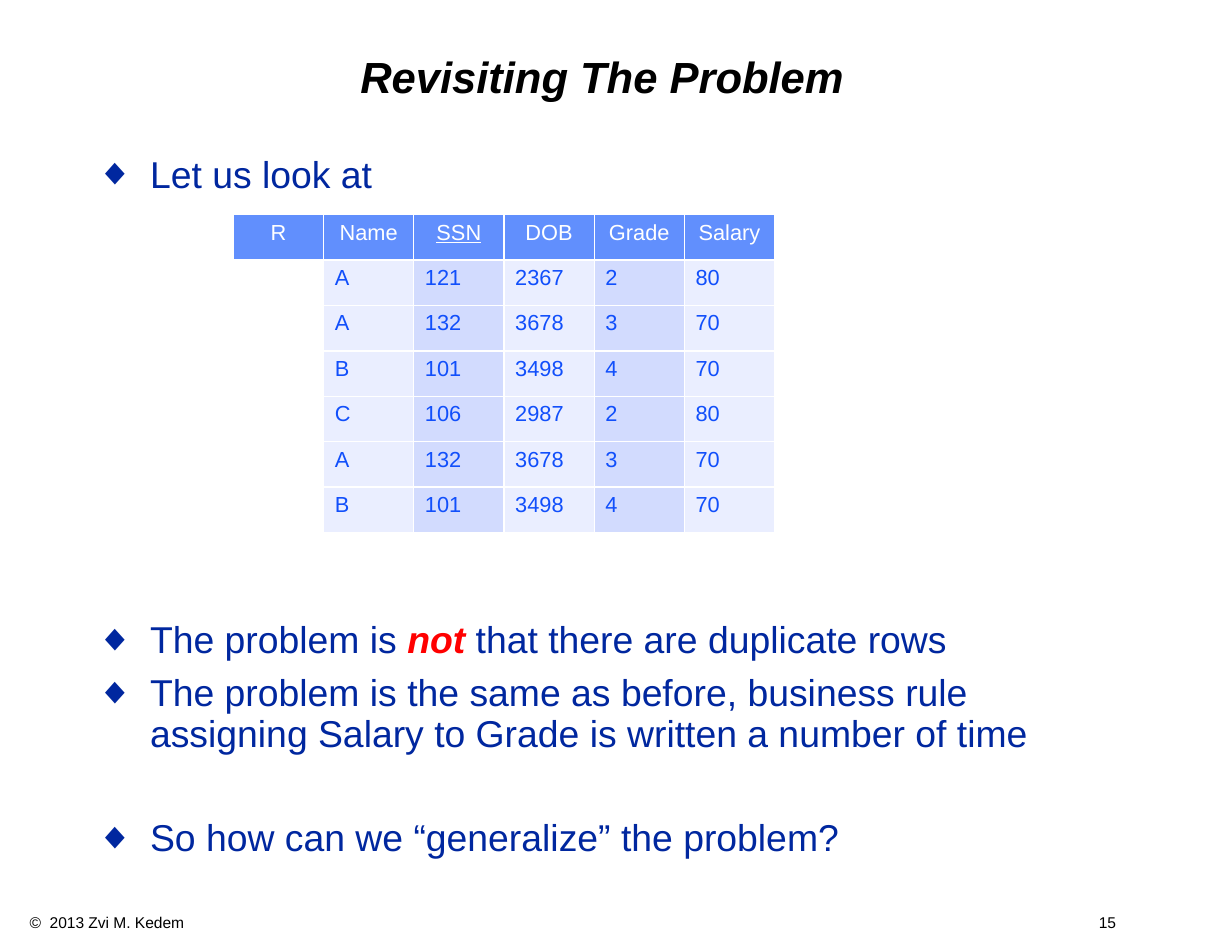
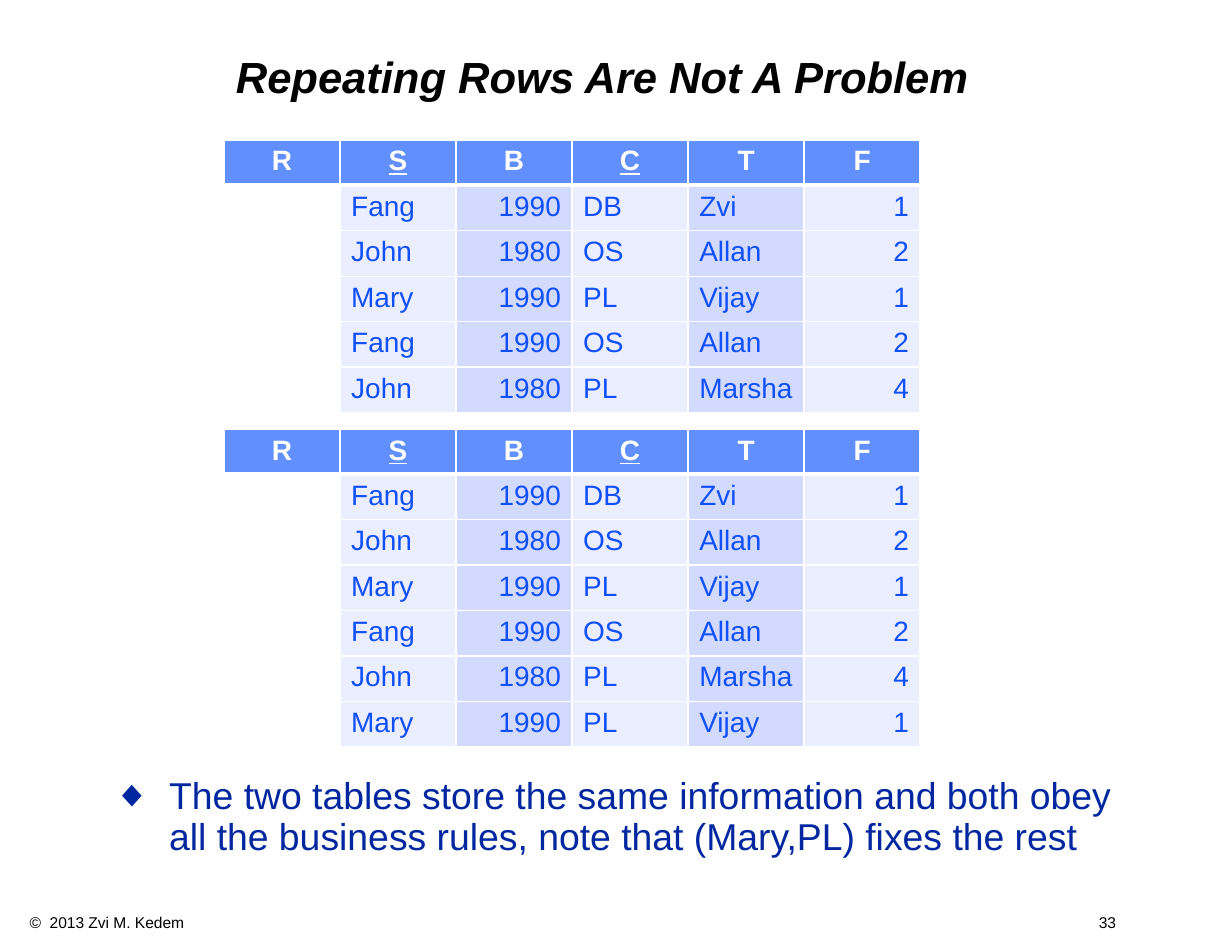
import pptx
import pptx.dml.color
import pptx.enum.text
import pptx.oxml
import pptx.oxml.ns
import pptx.util
from lxml import etree

Pt = pptx.util.Pt
Inches = pptx.util.Inches
qn = pptx.oxml.ns.qn
ALIGN = pptx.enum.text.PP_ALIGN
ANCHOR = pptx.enum.text.MSO_ANCHOR

WIDE, HIGH = Inches(11), Inches(8.5)
COLS, ROWS = 132, 102
ROW = 4.87  # height of a table row, in grid rows
FONT = "Arial"
INK = {
    "black": "000000", "white": "FFFFFF", "navy": "00279F", "red": "FF0000",
    "head": "618FFD", "pale": "EAEEFF", "tint": "D2DBFE", "blue": "114FFB",
}
LINE, SPACE = 24.84, 8.28  # body line height and paragraph gap, in points

STAFF = [
    "R Name SSN DOB Grade Salary".split(),
    ["", "A", "121", "2367", "2", "80"],
    ["", "A", "132", "3678", "3", "70"],
    ["", "B", "101", "3498", "4", "70"],
    ["", "C", "106", "2987", "2", "80"],
    ["", "A", "132", "3678", "3", "70"],
    ["", "B", "101", "3498", "4", "70"],
]
CLASS = [
    "R S B C T F".split(),
    ["", "Fang", "1990", "DB", "Zvi", "1"],
    ["", "John", "1980", "OS", "Allan", "2"],
    ["", "Mary", "1990", "PL", "Vijay", "1"],
    ["", "Fang", "1990", "OS", "Allan", "2"],
    ["", "John", "1980", "PL", "Marsha", "4"],
]


def grid(x, y, w, h):
    """Turn grid columns and rows into left, top, width, height."""
    return (int(WIDE * x / COLS), int(HIGH * y / ROWS),
            int(WIDE * w / COLS), int(HIGH * h / ROWS))


def place(shape, box):
    shape.left, shape.top, shape.width, shape.height = grid(*box)


def tint(name):
    return pptx.dml.color.RGBColor.from_string(INK[name])


def style(font, size, ink, bold=False, slant=False):
    font.name, font.size = FONT, Pt(size)
    font.bold, font.italic = bold, slant
    font.color.rgb = tint(ink)


def pad(frame):
    frame.margin_left = frame.margin_right = Inches(0.11)
    frame.margin_top = frame.margin_bottom = Inches(0.06)
    frame.auto_size = pptx.enum.text.MSO_AUTO_SIZE.NONE
    frame.word_wrap = True


def title(slide, text):
    shape = slide.shapes.title
    place(shape, (9, 3, 111, 11))
    frame = shape.text_frame
    frame.text = text
    pad(frame)
    frame.vertical_anchor = ANCHOR.MIDDLE
    para = frame.paragraphs[0]
    para.alignment, para.line_spacing = ALIGN.CENTER, 0.9
    style(para.runs[0].font, 28, "black", True, True)


def footer(slide, page):
    shape = slide.shapes.add_textbox(*grid(2, 97.2, 124, 3.2))
    frame = shape.text_frame
    frame.word_wrap = True
    para = frame.paragraphs[0]
    para.text = f"©  2013 Zvi M. Kedem\t{page}"
    tabs = etree.SubElement(para._p.get_or_add_pPr(), qn("a:tabLst"))
    etree.SubElement(tabs, qn("a:tab"), pos=str(Inches(9.7)), algn="r")
    for run in para.runs:
        style(run.font, 10, "black")


def bullet(para, left, hang):
    props = para._p.get_or_add_pPr()
    props.set("marL", str(Inches(left)))
    props.set("indent", str(-Inches(hang)))
    ink = etree.SubElement(props, qn("a:buClr"))
    etree.SubElement(ink, qn("a:srgbClr"), val=INK["navy"])
    etree.SubElement(props, qn("a:buChar"), char="◆")


def body(slide, box, items, left=0.48, hang=0.48):
    """Fill the list with (text, lines skipped before); *word* is stressed."""
    shape = slide.placeholders[1]
    place(shape, box)
    frame = shape.text_frame
    pad(frame)
    frame.vertical_anchor = ANCHOR.TOP
    for i, (text, skip) in enumerate(items):
        para = frame.add_paragraph() if i else frame.paragraphs[0]
        bullet(para, left, hang)
        para.alignment, para.line_spacing = ALIGN.LEFT, 0.9
        gap = skip * (LINE + SPACE) + SPACE if i else 0
        para.space_before = Pt(round(gap, 1))
        for j, part in enumerate(text.split("*")):
            run = para.add_run()
            run.text = part
            loud = j % 2 == 1
            style(run.font, 24, "red" if loud else "navy", loud, loud)


def edge(cell, base):
    """Draw white cell borders, the bottom one base points wide."""
    props = cell._tc.get_or_add_tcPr()
    sides = {"lnL": 1, "lnR": 1, "lnT": 1, "lnB": base}
    for i, (side, width) in enumerate(sides.items()):
        line = etree.Element(qn("a:" + side), w=str(Pt(width)))
        fill = etree.SubElement(line, qn("a:solidFill"))
        etree.SubElement(fill, qn("a:srgbClr"), val=INK["white"])
        props.insert(i, line)


def table(slide, x, y, w, data, size, keys, right=(), top=ROW, bold=False):
    """Draw data with underlined key columns and right-aligned columns."""
    tall = top + ROW * (len(data) - 1)
    count = len(data[0])
    frame = slide.shapes.add_table(len(data), count, *grid(x, y, w, tall))
    tab = frame.table
    tab.horz_banding = False
    for col in tab.columns:
        col.width = int(WIDE * w / COLS / count)
    for r, line in enumerate(data):
        tab.rows[r].height = int(HIGH * (ROW if r else top) / ROWS)
        for c, text in enumerate(line):
            cell = tab.cell(r, c)
            if r == 0:
                fill = "head"
            elif c == 0:
                fill = "white"
            else:
                fill = "pale" if c % 2 else "tint"
            cell.fill.solid()
            cell.fill.fore_color.rgb = tint(fill)
            edge(cell, 3 if bold and r == 0 else 1)
            cell.text = text
            para = cell.text_frame.paragraphs[0]
            if r == 0:
                para.alignment = ALIGN.CENTER
            elif c in right:
                para.alignment = ALIGN.RIGHT
            for run in para.runs:
                style(run.font, size, "blue" if r else "white", bold and r == 0)
                run.font.underline = r == 0 and text in keys


def start(deck, text, page):
    slide = deck.slides.add_slide(deck.slide_layouts[1])
    title(slide, text)
    footer(slide, page)
    return slide


def revisit(deck):
    slide = start(deck, "Revisiting The Problem", 15)
    body(slide, (9, 16, 112, 80), [
        ("Let us look at", 0),
        ("The problem is *not* that there are duplicate rows", 8),
        ("The problem is the same as before, business rule assigning "
         "Salary to Grade is written a number of time", 0),
        ("So how can we “generalize” the problem?", 1),
    ])
    table(slide, 25, 23, 58, STAFF, 14, ["SSN"])


def repeat(deck):
    slide = start(deck, "Repeating Rows Are Not A Problem", 33)
    body(slide, (9, 82.6, 112, 13.4), [
        ("The two tables store the same information and both obey all the "
         "business rules, note that (Mary,PL) fixes the rest", 0),
    ], 0.65, 0.5)
    more = CLASS + [CLASS[3]]
    for y, data, top in ((15, CLASS, ROW), (46, more, 4.65)):
        table(slide, 24, y, 74.6, data, 18, ["S", "C"], (2, 5), top, True)


def main():
    deck = pptx.Presentation()
    deck.slide_width, deck.slide_height = WIDE, HIGH
    revisit(deck)
    repeat(deck)
    deck.save("out.pptx")


if __name__ == "__main__":
    main()
